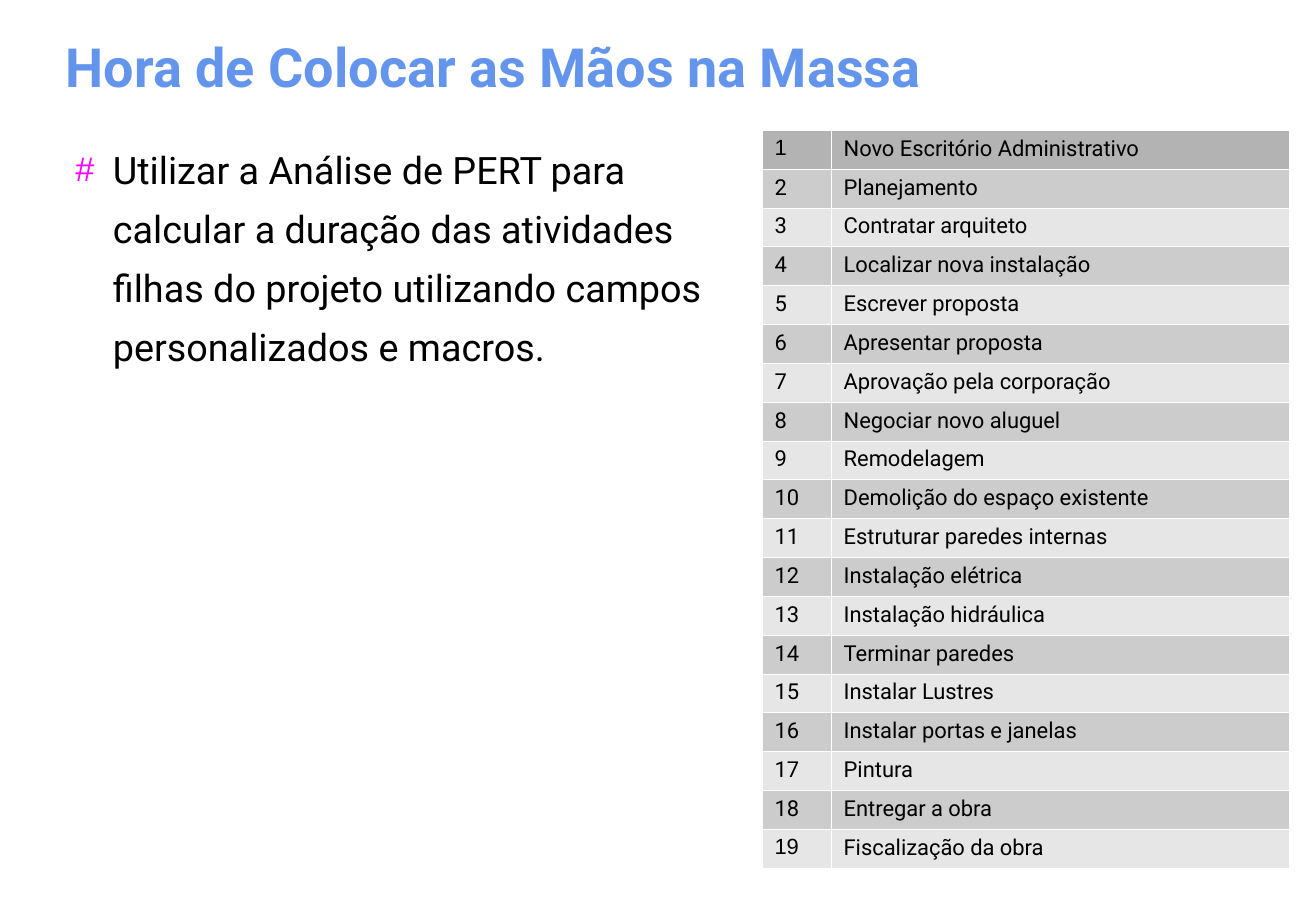
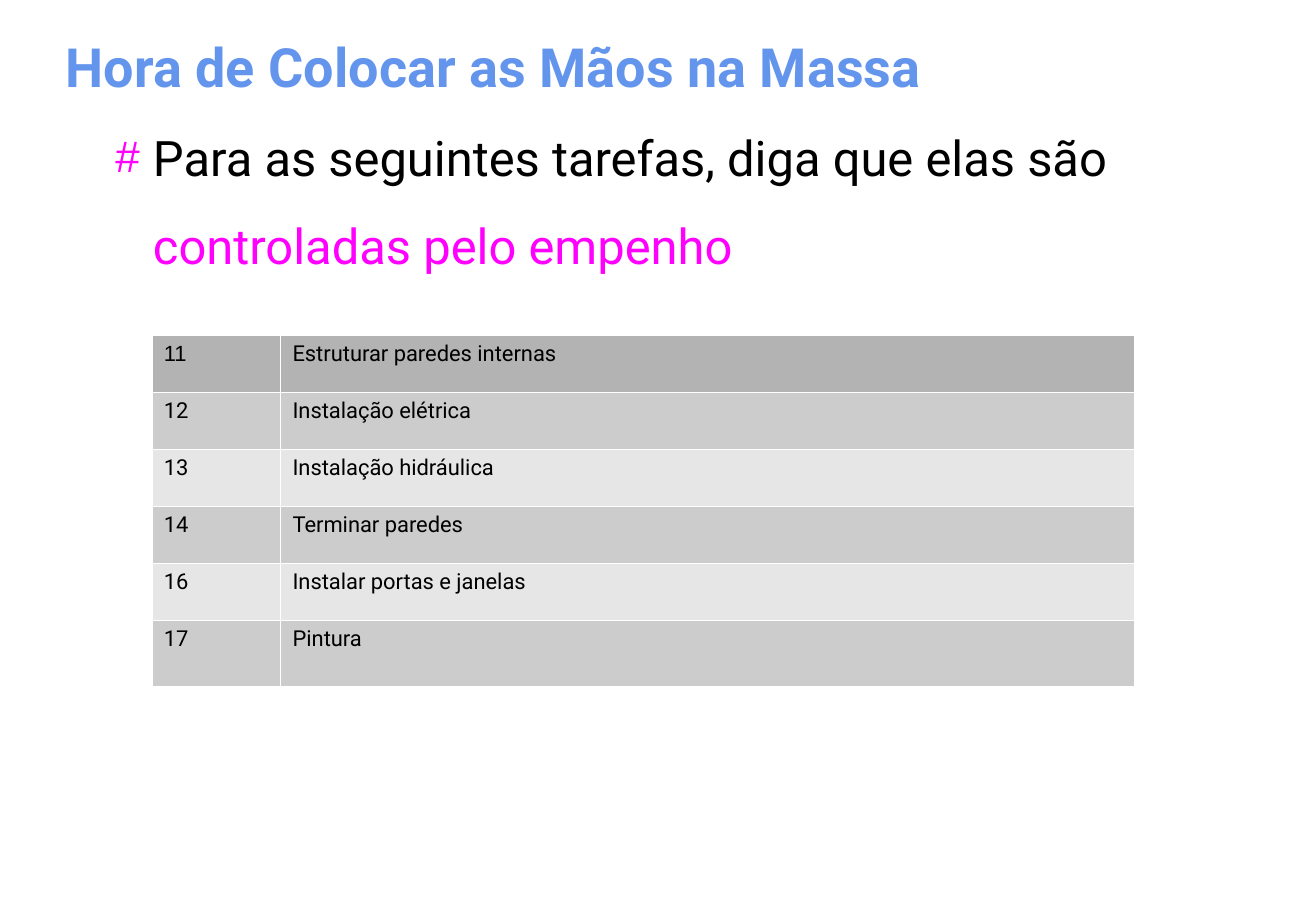
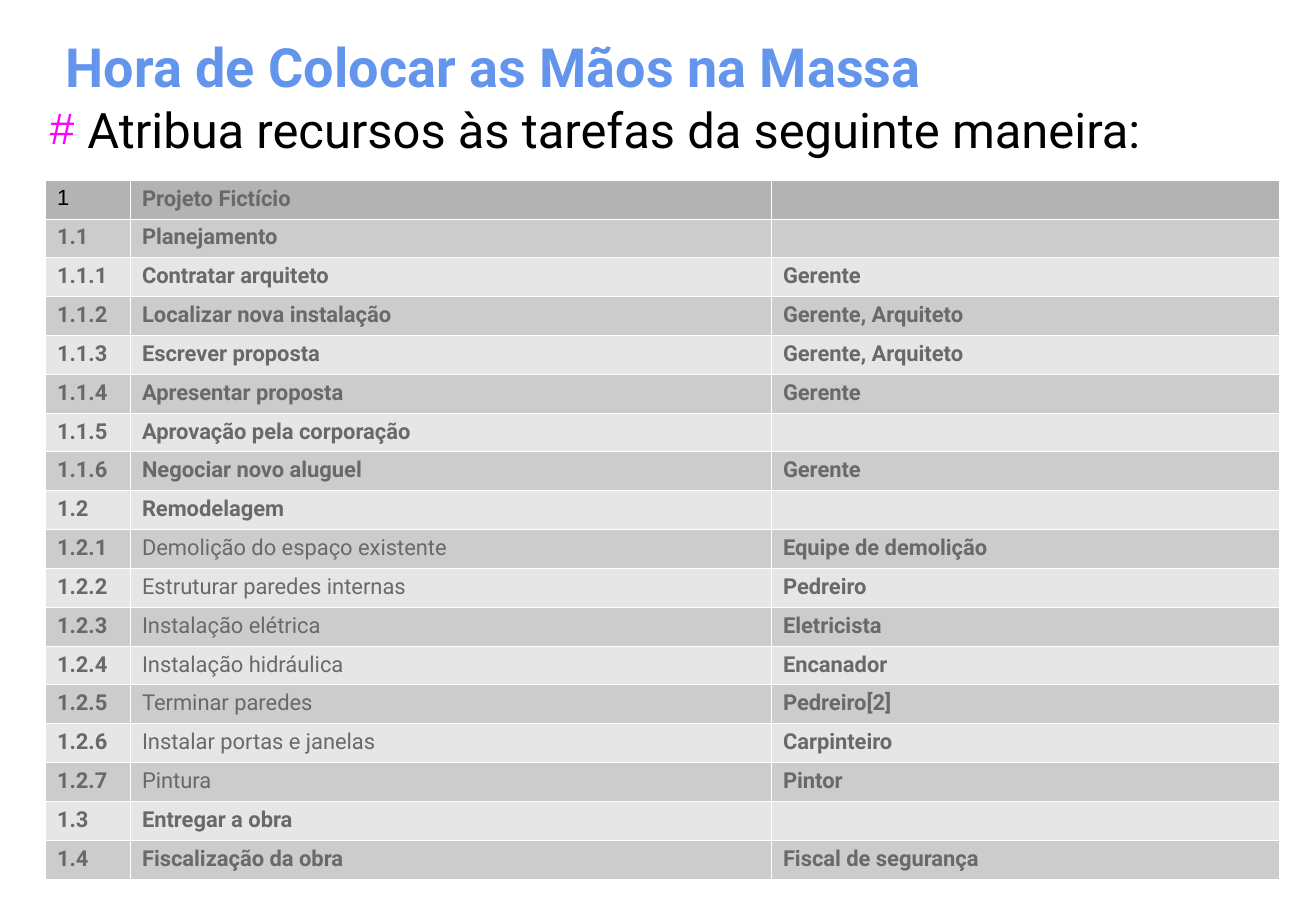
from dataclasses import dataclass

from lxml.etree import SubElement
from pptx import Presentation
from pptx.dml.color import RGBColor
from pptx.enum.text import MSO_ANCHOR, MSO_AUTO_SIZE
from pptx.oxml.ns import qn
from pptx.util import Inches, Pt


@dataclass(frozen=True)
class Theme:
    title_color: str = "6495ED"
    text_color: str = "000000"
    accent: str = "FF00FF"
    muted: str = "696969"
    border: str = "FFFFFF"
    header_fill: str = "B3B3B3"
    band_fills: tuple = ("E6E6E6", "CCCCCC")
    font: str = "Roboto"
    number_font: str = "Arial"
    title_size: float = 32
    body_size: float = 29
    small_body_size: float = 22.4
    table_size: float = 13
    border_width: float = 0.06


THEME = Theme()
TITLE = "Hora de Colocar as Mãos na Massa"
TASKS = [
    "Novo Escritório Administrativo",
    "Planejamento",
    "Contratar arquiteto",
    "Localizar nova instalação",
    "Escrever proposta",
    "Apresentar proposta",
    "Aprovação pela corporação",
    "Negociar novo aluguel",
    "Remodelagem",
    "Demolição do espaço existente",
    "Estruturar paredes internas",
    "Instalação elétrica",
    "Instalação hidráulica",
    "Terminar paredes",
    "Instalar Lustres",
    "Instalar portas e janelas",
    "Pintura",
    "Entregar a obra",
    "Fiscalização da obra",
]
EFFORT_DRIVEN = (11, 12, 13, 14, 16, 17)
ASSIGNMENTS = [
    ("1.1", 2, ""),
    ("1.1.1", 3, "Gerente"),
    ("1.1.2", 4, "Gerente, Arquiteto"),
    ("1.1.3", 5, "Gerente, Arquiteto"),
    ("1.1.4", 6, "Gerente"),
    ("1.1.5", 7, ""),
    ("1.1.6", 8, "Gerente"),
    ("1.2", 9, ""),
    ("1.2.1", 10, "Equipe de demolição"),
    ("1.2.2", 11, "Pedreiro"),
    ("1.2.3", 12, "Eletricista"),
    ("1.2.4", 13, "Encanador"),
    ("1.2.5", 14, "Pedreiro[2]"),
    ("1.2.6", 16, "Carpinteiro"),
    ("1.2.7", 17, "Pintor"),
    ("1.3", 18, ""),
    ("1.4", 19, "Fiscal de segurança"),
]


def add_text(paragraph, text, *, size, color=THEME.text_color, font=THEME.font, bold=False):
    for index, line in enumerate(text.split("\n")):
        if index:
            paragraph.add_line_break()
        run = paragraph.add_run()
        run.text = line
        run.font.size = Pt(size)
        run.font.name = font
        run.font.bold = bold
        run.font.color.rgb = RGBColor.from_string(color)


def add_color(parent, color):
    SubElement(parent, qn("a:srgbClr"), val=color)


class Deck:
    def __init__(self, theme):
        self.theme = theme
        self.presentation = Presentation()
        self.presentation.slide_width = Inches(10.84)
        self.presentation.slide_height = Inches(7.5)
        self.slide = None

    def new_slide(self, title):
        self.slide = self.presentation.slides.add_slide(self.presentation.slide_layouts[6])
        frame = self.text_frame(0.54, 0.28, 9.75, 0.53)
        frame.vertical_anchor = MSO_ANCHOR.MIDDLE
        frame.auto_size = MSO_AUTO_SIZE.SHAPE_TO_FIT_TEXT
        add_text(frame.paragraphs[0], title, size=self.theme.title_size,
                 color=self.theme.title_color, bold=True)

    def text_frame(self, *box):
        frame = self.slide.shapes.add_textbox(*map(Inches, box)).text_frame
        frame.word_wrap = True
        frame.margin_left = frame.margin_right = 0
        frame.margin_top = frame.margin_bottom = 0
        return frame

    def bullet(self, box, parts, *, size, line_spacing):
        paragraph = self.text_frame(*box).paragraphs[0]
        paragraph.line_spacing = line_spacing
        properties = paragraph._p.get_or_add_pPr()
        properties.set("marL", str(Inches(0.39)))
        properties.set("indent", str(Inches(-0.31)))
        add_color(SubElement(properties, qn("a:buClr")), self.theme.accent)
        SubElement(properties, qn("a:buSzPct"), val="90000")
        SubElement(properties, qn("a:buFont"), typeface=self.theme.number_font)
        SubElement(properties, qn("a:buChar"), char="#")
        for text, color in parts:
            add_text(paragraph, text, size=size, color=color)

    def table(self, left, top, widths, heights, rows, cell_format):
        table = self.slide.shapes.add_table(
            len(rows), len(widths), Inches(left), Inches(top),
            Inches(sum(widths)), Inches(sum(heights))).table
        table.first_row = table.horz_banding = False
        for column, width in zip(table.columns, widths):
            column.width = Inches(width)
        for row_index, (values, height) in enumerate(zip(rows, heights)):
            table.rows[row_index].height = Inches(height)
            fill = self.theme.band_fills[row_index % 2] if row_index else self.theme.header_fill
            for column_index, value in enumerate(values):
                self.fill_cell(table.cell(row_index, column_index), value, fill,
                               cell_format(row_index, column_index))

    def fill_cell(self, cell, text, fill, text_format):
        properties = cell._tc.get_or_add_tcPr()
        for side in ("lnL", "lnR", "lnT", "lnB"):
            line = SubElement(properties, qn(f"a:{side}"), w=str(Pt(self.theme.border_width)))
            add_color(SubElement(line, qn("a:solidFill")), self.theme.border)
        cell.fill.solid()
        cell.fill.fore_color.rgb = RGBColor.from_string(fill)
        paragraph = cell.text_frame.paragraphs[0]
        if text:
            add_text(paragraph, text, size=self.theme.table_size, **text_format)
        else:
            SubElement(paragraph._p, qn("a:endParaRPr"), sz=str(self.theme.table_size * 100))


def numbered(numbers):
    return [(str(number), TASKS[number - 1]) for number in numbers]


def number_format(*arial_rows):
    def cell_format(row, column):
        return {"font": THEME.number_font} if column == 0 and row in arial_rows else {}
    return cell_format


def pert_slide(deck):
    deck.new_slide(TITLE)
    text = ("Utilizar a Análise de PERT para\ncalcular a duração das atividades\n"
            "filhas do projeto utilizando campos personalizados e macros.")
    deck.bullet((0.54, 1.1, 5.73, 2.3), [(text, THEME.text_color)],
                size=THEME.small_body_size, line_spacing=1.3)
    rows = numbered(range(1, len(TASKS) + 1))
    deck.table(6.28, 1.07, (0.57, 3.77), [0.32] * len(rows), rows,
               number_format(0, len(rows) - 1))


def effort_slide(deck):
    deck.new_slide(TITLE)
    deck.bullet((0.87, 0.81, 9.75, 1.9),
                [("Para as seguintes tarefas, diga que elas são ", THEME.text_color),
                 ("controladas pelo empenho", THEME.accent)],
                size=THEME.body_size, line_spacing=1.5)
    deck.table(1.25, 2.76, (1.06, 7.03), [0.47] * 5 + [0.54],
               numbered(EFFORT_DRIVEN), number_format(0))


def resources_slide(deck):
    deck.new_slide(TITLE)
    deck.bullet((0.33, 0.58, 9.75, 0.91),
                [("Atribua recursos às tarefas da seguinte maneira:", THEME.text_color)],
                size=THEME.body_size, line_spacing=1.5)
    rows = [("1", "Projeto Fictício", "")]
    rows += [(code, TASKS[number - 1], resource) for code, number, resource in ASSIGNMENTS]

    def cell_format(row, column):
        if row == column == 0:
            return {"font": THEME.number_font}
        regular = column == 1 and rows[row][0].startswith("1.2.")
        return {"color": THEME.muted, "bold": not regular}

    deck.table(0.37, 1.48, (0.7, 5.28, 4.19), [0.32] * len(rows), rows, cell_format)


def main():
    deck = Deck(THEME)
    pert_slide(deck)
    effort_slide(deck)
    resources_slide(deck)
    deck.presentation.save("out.pptx")


if __name__ == "__main__":
    main()
